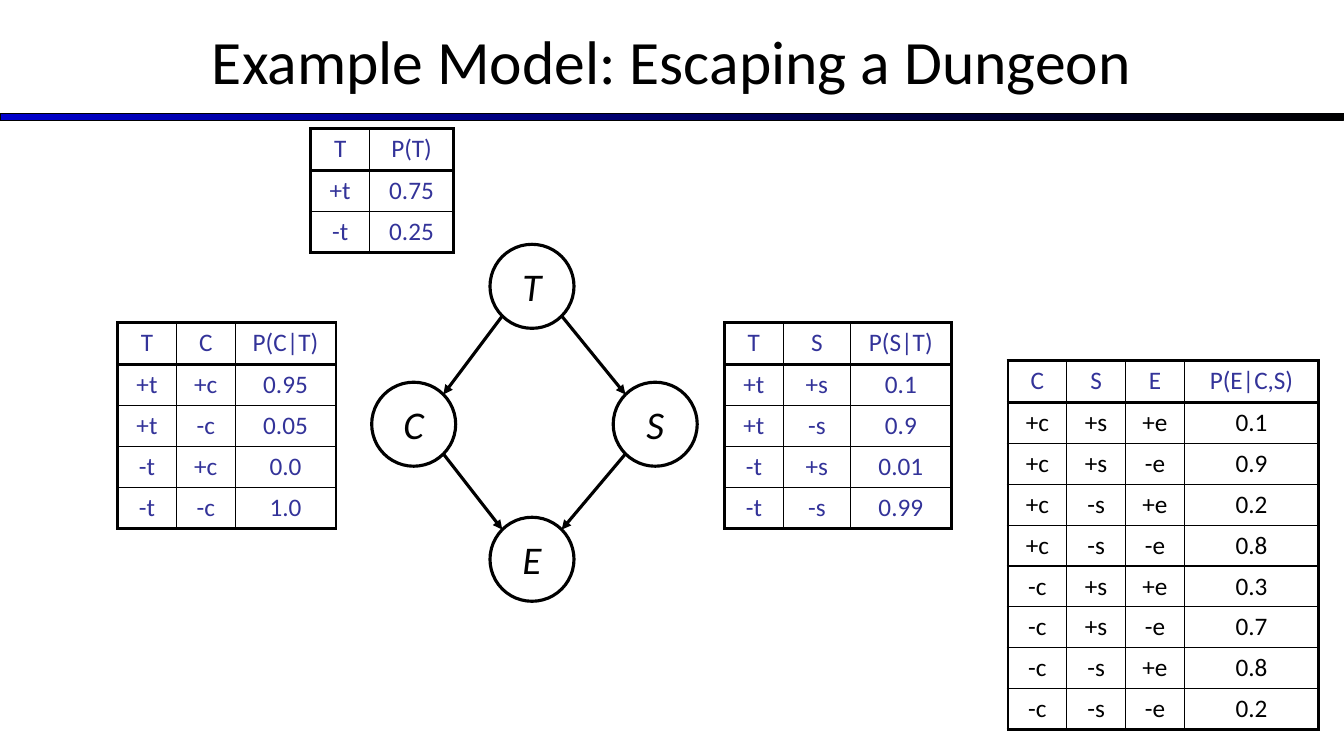
import math

import lxml.etree
import pptx
import pptx.dml.color
import pptx.enum.shapes
import pptx.enum.text
import pptx.oxml
import pptx.oxml.ns
import pptx.util

Pt = pptx.util.Pt
SHAPES = pptx.enum.shapes.MSO_SHAPE
BLACK, WHITE, NAVY, BLUE = "000000", "FFFFFF", "333399", "0000CC"
THICK, THIN = 2.25, 1
HEADER_HEIGHT, ROW_HEIGHT = 30, 29.2
RADIUS = 30

TITLE = {"text": "Example Model: Escaping a Dungeon", "at": (0, -2, 960, 90)}
BAR = (0, 81, 960, 5)
TITLE_FONT = {"name": "Calibri", "size": Pt(44)}
NODE_FONT = {"name": "Calibri", "size": Pt(28), "italic": True}
CELL_FONT = {"name": "Calibri", "size": Pt(18)}

# Node name: centre
NODES = {"E": (380, 399.5), "T": (380, 204.5), "S": (468, 303), "C": (295.5, 303)}
ARROWS = [("T", "S"), ("T", "C"), ("C", "E"), ("S", "E")]

TABLES = [
    {"corner": (84, 230.5), "columns": (42, 42, 72), "body": NAVY, "rows": [
        ("T", "C", "P(C|T)"),
        ("+t", "+c", "0.95"),
        ("+t", "-c", "0.05"),
        ("-t", "+c", "0.0"),
        ("-t", "-c", "1.0")]},
    {"corner": (720, 257.5), "columns": (42, 42, 42, 96), "body": BLACK, "rows": [
        ("C", "S", "E", "P(E|C,S)"),
        ("+c", "+s", "+e", "0.1"),
        ("+c", "+s", "-e", "0.9"),
        ("+c", "-s", "+e", "0.2"),
        ("+c", "-s", "-e", "0.8"),
        ("-c", "+s", "+e", "0.3"),
        ("-c", "+s", "-e", "0.7"),
        ("-c", "-s", "+e", "0.8"),
        ("-c", "-s", "-e", "0.2")]},
    {"corner": (517.5, 230.5), "columns": (42, 48, 72), "body": NAVY, "rows": [
        ("T", "S", "P(S|T)"),
        ("+t", "+s", "0.1"),
        ("+t", "-s", "0.9"),
        ("-t", "+s", "0.01"),
        ("-t", "-s", "0.99")]},
    {"corner": (222, 92), "columns": (42, 60), "body": NAVY, "rows": [
        ("T", "P(T)"),
        ("+t", "0.75"),
        ("-t", "0.25")]},
]


def rgb(color):
    return pptx.dml.color.RGBColor.from_string(color)


def draw_line(line, width):
    line.color.rgb = rgb(BLACK)
    line.width = Pt(width)


def write(frame, text, font, color=BLACK):
    frame.vertical_anchor = pptx.enum.text.MSO_ANCHOR.MIDDLE
    para = frame.paragraphs[0]
    para.alignment = pptx.enum.text.PP_ALIGN.CENTER
    span = para.add_run()
    span.text = text
    for name, value in font.items():
        setattr(span.font, name, value)
    span.font.color.rgb = rgb(color)


def add_title(page):
    bar = page.shapes.add_shape(SHAPES.RECTANGLE, *map(Pt, BAR))
    bar.shadow.inherit = False
    bar.fill.gradient()
    bar.fill.gradient_angle = 0
    for stop, color in zip(bar.fill.gradient_stops, (BLUE, BLACK)):
        stop.color.rgb = rgb(color)
    draw_line(bar.line, 0.75)
    box = page.shapes.add_textbox(*map(Pt, TITLE["at"]))
    box.text_frame.word_wrap = True
    write(box.text_frame, TITLE["text"], TITLE_FONT)


def add_node(page, name, x, y):
    node = page.shapes.add_shape(SHAPES.OVAL, Pt(x - RADIUS), Pt(y - RADIUS),
                                 Pt(2 * RADIUS), Pt(2 * RADIUS))
    node.shadow.inherit = False
    node.fill.solid()
    node.fill.fore_color.rgb = rgb(WHITE)
    draw_line(node.line, THICK)
    node.text_frame.word_wrap = False
    write(node.text_frame, name, NODE_FONT)


def add_arrow(page, start, end):
    """Join two nodes at the 45 degree points of their outlines."""
    (x1, y1), (x2, y2) = NODES[start], NODES[end]
    reach = RADIUS / math.sqrt(2)
    side = math.copysign(reach, x2 - x1)
    arrow = page.shapes.add_connector(
        pptx.enum.shapes.MSO_CONNECTOR.STRAIGHT,
        Pt(x1 + side), Pt(y1 + reach), Pt(x2 - side), Pt(y2 - reach))
    draw_line(arrow.line, THICK)
    outline = arrow.line._get_or_add_ln()
    lxml.etree.SubElement(outline, pptx.oxml.ns.qn("a:tailEnd"), type="triangle")
    lxml.etree.SubElement(arrow._element.spPr, pptx.oxml.ns.qn("a:effectLst"))


def set_borders(cell, widths):
    """Widths run left, right, top, bottom, the order the file format wants."""
    for place, (side, width) in enumerate(zip("LRTB", widths)):
        border = pptx.oxml.parse_xml(
            f'<a:ln{side} {pptx.oxml.ns.nsdecls("a")} w="{int(Pt(width))}">'
            f'<a:solidFill><a:srgbClr val="{BLACK}"/></a:solidFill></a:ln{side}>')
        cell._tc.get_or_add_tcPr().insert(place, border)


def add_probabilities(page, corner, columns, body, rows):
    heights = [HEADER_HEIGHT] + [ROW_HEIGHT] * (len(rows) - 1)
    size = sum(columns), sum(heights)
    table = page.shapes.add_table(len(rows), len(columns),
                                  *map(Pt, corner + size)).table
    table.first_row = table.horz_banding = False
    for column, width in zip(table.columns, columns):
        column.width = Pt(width)
    for r, (texts, height) in enumerate(zip(rows, heights)):
        table.rows[r].height = Pt(height)
        for c, text in enumerate(texts):
            cell = table.cell(r, c)
            cell.fill.background()
            write(cell.text_frame, text, CELL_FONT, body if r else NAVY)
            thick = (c == 0, c == len(columns) - 1, r <= 1, r in (0, len(rows) - 1))
            set_borders(cell, [THICK if edge else THIN for edge in thick])


def main():
    deck = pptx.Presentation()
    deck.slide_width, deck.slide_height = Pt(960), Pt(540)
    page = deck.slides.add_slide(deck.slide_layouts[6])
    add_title(page)
    for name, (x, y) in NODES.items():
        add_node(page, name, x, y)
    for start, end in ARROWS:
        add_arrow(page, start, end)
    for table in TABLES:
        add_probabilities(page, **table)
    deck.save("out.pptx")


if __name__ == "__main__":
    main()
